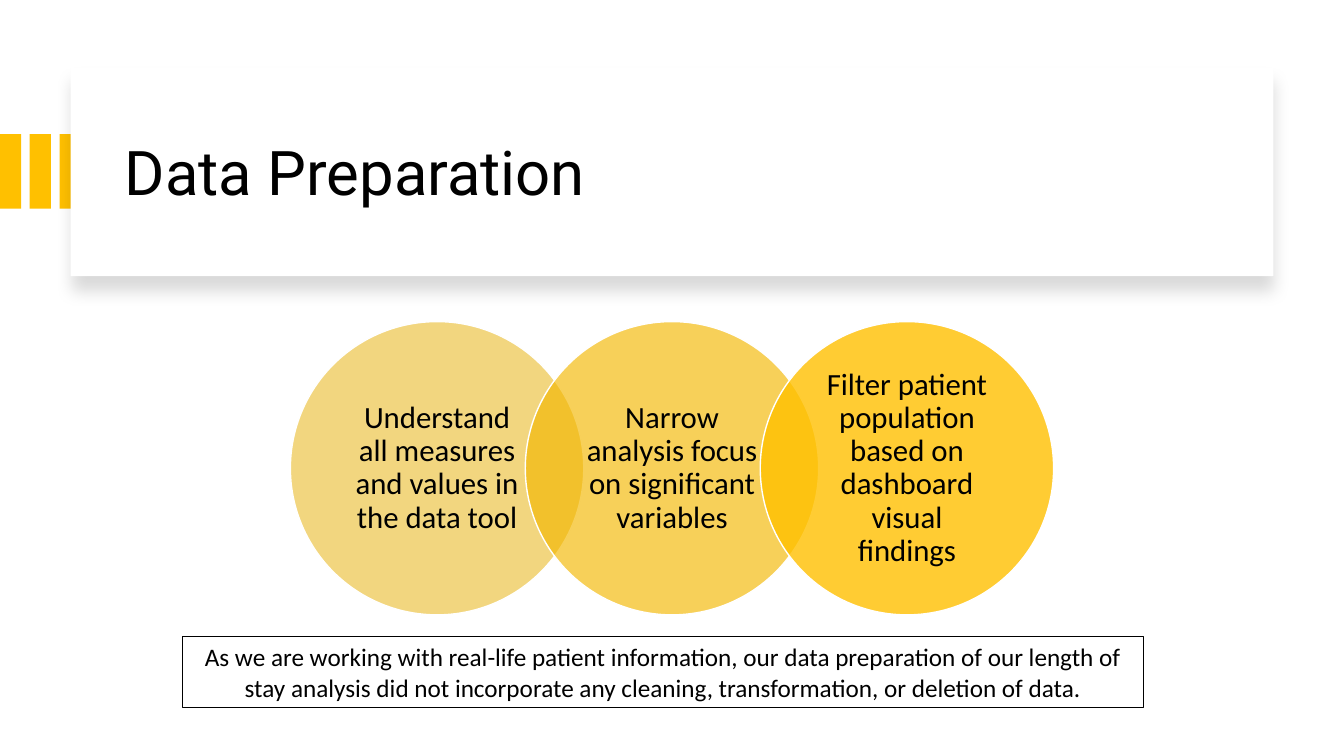
from lxml import etree
from pptx import Presentation
from pptx import util as u
from pptx.dml.color import RGBColor
from pptx.enum import shapes, text
from pptx.oxml import parse_xml
from pptx.oxml.ns import nsdecls, qn

COLORS = {"accent": "FFC000", "white": "FFFFFF", "black": "000000"}
STEPS = [
    ("Understand all measures and values in the data tool", "E7AE00", 50),
    ("Narrow analysis focus on significant variables", "F3B700", 65),
    ("Filter patient population based on dashboard visual findings", COLORS["accent"], 80),
]
NOTE = ("As we are working with real-life patient information, our data preparation of our "
        "length of stay analysis did not incorporate any cleaning, transformation, or "
        "deletion of data.")


def add_shape(slide, kind, box, fill=None, line=None, line_width=1):
    """Add a shadowless preset shape with the given fill and outline."""
    shape = slide.shapes.add_shape(kind, *map(u.Inches, box))
    shape.shadow.inherit = False
    if fill:
        shape.fill.solid()
        shape.fill.fore_color.rgb = RGBColor.from_string(fill)
    else:
        shape.fill.background()
    if line:
        shape.line.color.rgb = RGBColor.from_string(line)
        shape.line.width = u.Pt(line_width)
    else:
        shape.line.fill.background()
    return shape


def write_text(shape, content, size, font="Calibri", align=text.PP_ALIGN.CENTER,
               spacing=1.0, insets=(0.1, 0.05)):
    """Write one vertically centred, wrapped paragraph into a shape."""
    frame = shape.text_frame
    frame.word_wrap = True
    frame.vertical_anchor = text.MSO_ANCHOR.MIDDLE
    frame.margin_left = frame.margin_right = u.Inches(insets[0])
    frame.margin_top = frame.margin_bottom = u.Inches(insets[1])
    paragraph = frame.paragraphs[0]
    paragraph.alignment = align
    paragraph.line_spacing = spacing
    run = paragraph.add_run()
    run.text = content
    run.font.size = u.Pt(size)
    run.font.name = font
    run.font.color.rgb = RGBColor.from_string(COLORS["black"])


def set_opacity(shape, percent):
    """Make the solid fill of a shape partly transparent."""
    color = shape.fill._xPr.find(qn("a:solidFill"))[0]
    etree.SubElement(color, qn("a:alpha")).set("val", str(percent * 1000))


def add_soft_shadow(shape):
    """Give a shape a soft shadow that falls straight down."""
    effects = shape._element.spPr.find(qn("a:effectLst"))
    effects.append(parse_xml(
        f'<a:outerShdw {nsdecls("a")} blurRad="{u.Pt(11)}" dist="{u.Pt(10)}" dir="5400000" '
        f'algn="t" rotWithShape="0"><a:srgbClr val="{COLORS["black"]}">'
        '<a:alpha val="15000"/></a:srgbClr></a:outerShdw>'))


def add_header(slide, left, top, width, height):
    """Draw the accent bars, the raised title card and the title."""
    rectangle = shapes.MSO_SHAPE.RECTANGLE
    for index in range(3):
        add_shape(slide, rectangle, (index * 0.295, top + 0.66, 0.21, 0.74), COLORS["accent"])
    card = add_shape(slide, rectangle, (left, top, width, height), COLORS["white"])
    add_soft_shadow(card)
    title_box = (left + 0.44, top + 0.22, width - 1.06, height - 0.37)
    title = slide.shapes.add_textbox(*map(u.Inches, title_box))
    write_text(title, "Data Preparation", 44, "Roboto", text.PP_ALIGN.LEFT, 0.9)


def add_steps(slide, left, top, width, diameter):
    """Draw a row of overlapping translucent circles, one for each step."""
    pitch = (width - diameter) / (len(STEPS) - 1)
    inset = 0.43
    side = diameter - 2 * inset
    for index, (label, color, opacity) in enumerate(STEPS):
        x = left + index * pitch
        circle = add_shape(slide, shapes.MSO_SHAPE.OVAL, (x, top, diameter, diameter),
                           color, COLORS["white"])
        set_opacity(circle, opacity)
        box = slide.shapes.add_textbox(*map(u.Inches, (x + inset, top + inset, side, side)))
        write_text(box, label, 22, spacing=0.9, insets=(0.16, 0.03))


def add_note(slide, *box):
    """Draw the outlined remark below the steps."""
    note = add_shape(slide, shapes.MSO_SHAPE.RECTANGLE, box, line=COLORS["black"],
                     line_width=0.75)
    write_text(note, NOTE, 18)


def main():
    """Build the slide and save it."""
    presentation = Presentation()
    presentation.slide_width = u.Inches(13.33)
    presentation.slide_height = u.Inches(7.5)
    slide = presentation.slides.add_slide(presentation.slide_layouts[6])
    add_header(slide, 0.7, 0.67, 11.93, 2.07)
    add_steps(slide, 2.88, 3.19, 7.57, 2.91)
    add_note(slide, 1.81, 6.31, 9.53, 0.71)
    presentation.save("out.pptx")


if __name__ == "__main__":
    main()
